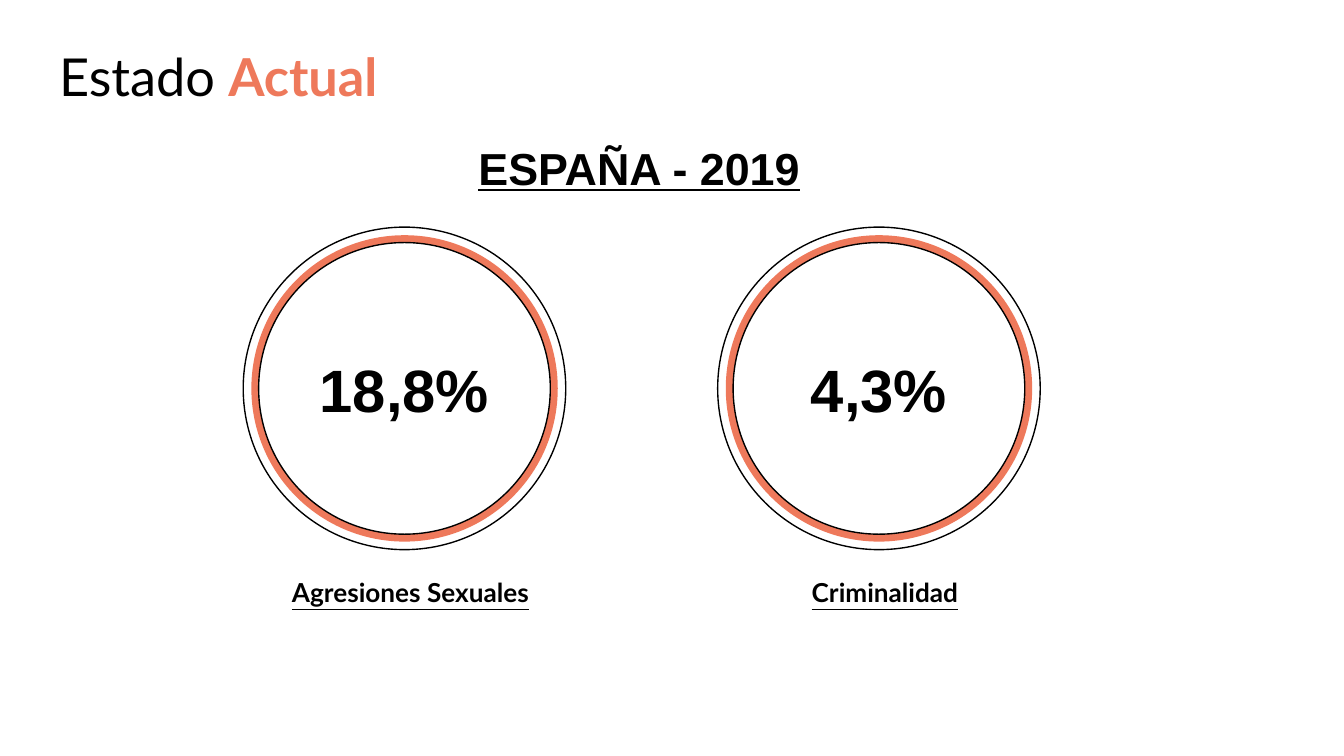
from pptx import Presentation
from pptx.dml.color import RGBColor
from pptx.enum.shapes import MSO_SHAPE as Shape
from pptx.enum.text import MSO_ANCHOR as Anchor, MSO_AUTO_SIZE as AutoSize, PP_ALIGN as Align
from pptx.util import Inches, Pt

BLACK = RGBColor(0x00, 0x00, 0x00)
WHITE = RGBColor(0xFF, 0xFF, 0xFF)
CORAL = RGBColor(0xEE, 0x79, 0x5B)

CENTER_Y = 2.89
INDICATORS = [
    (3.01, "18,8%", "Agresiones Sexuales"),
    (6.54, "4,3%", "Criminalidad"),
]


def format_font(run, name, size, color=BLACK, bold=True, underline=None):
    """Set the typeface, size, colour and emphasis of a run."""
    font = run.font
    font.name, font.size, font.bold, font.underline = name, Pt(size), bold, underline
    font.color.rgb = color


def set_frame(frame, anchor):
    """Give a text frame equal margins, wrapping and a vertical anchor."""
    frame.margin_left = frame.margin_right = Inches(0.1)
    frame.margin_top = frame.margin_bottom = Inches(0.1)
    frame.auto_size = AutoSize.NONE
    frame.word_wrap = True
    frame.vertical_anchor = anchor


def write_centered(holder, text, name, size, underline=None):
    """Write one bold line in the middle of a shape or text box."""
    frame = holder.text_frame
    set_frame(frame, Anchor.MIDDLE)
    frame.text = text
    paragraph = frame.paragraphs[0]
    paragraph.alignment = Align.CENTER
    format_font(paragraph.runs[0], name, size, underline=underline)


def add_figure(slide, kind, box, fill=None, line=None, width=0.75):
    """Add a preset shape without shadow, with optional fill and outline."""
    figure = slide.shapes.add_shape(kind, *map(Inches, box))
    figure.shadow.inherit = False
    if fill is None:
        figure.fill.background()
    else:
        figure.fill.solid()
        figure.fill.fore_color.rgb = fill
    if line is None:
        figure.line.fill.background()
    else:
        figure.line.color.rgb = line
        figure.line.width = Pt(width)
    return figure


def add_circle(slide, center_x, diameter, fill=None, line=None):
    """Add a circle centred on the row of indicators."""
    radius = diameter / 2
    box = (center_x - radius, CENTER_Y - radius, diameter, diameter)
    return add_figure(slide, Shape.OVAL, box, fill, line)


def add_indicator(slide, center_x, value, label):
    """Add concentric rings around a value, with a label below."""
    add_circle(slide, center_x, 2.28, fill=CORAL)
    add_circle(slide, center_x, 2.4, line=BLACK)
    dial = add_circle(slide, center_x, 2.17, fill=WHITE, line=BLACK)
    write_centered(dial, value, "Arial", 32)
    caption = slide.shapes.add_textbox(
        Inches(center_x - 1), Inches(4.23), Inches(2.09), Inches(0.35))
    write_centered(caption, label, "Lato", 14, underline=True)


def add_title(slide):
    """Fill the title placeholder with a two-tone heading."""
    title = slide.shapes.title
    title.left, title.top = Inches(0.34), Inches(0.23)
    title.width, title.height = Inches(9.32), Inches(0.51)
    set_frame(title.text_frame, Anchor.TOP)
    paragraph = title.text_frame.paragraphs[0]
    paragraph.alignment = Align.LEFT
    for text, color, bold in (("Estado ", BLACK, False), ("Actual", CORAL, True)):
        run = paragraph.add_run()
        run.text = text
        format_font(run, "Lato", 28, color, bold)


def main():
    """Build the 16:9 slide and save it."""
    deck = Presentation()
    deck.slide_width = Inches(10)
    deck.slide_height = Inches(10 * 9 / 16)
    slide = deck.slides.add_slide(deck.slide_layouts[5])
    add_title(slide)
    heading = add_figure(slide, Shape.RECTANGLE, (3.29, 1.02, 2.93, 0.45), WHITE, WHITE, 2)
    write_centered(heading, "ESPAÑA - 2019", "Arial", 24, underline=True)
    for center_x, value, label in INDICATORS:
        add_indicator(slide, center_x, value, label)
    deck.save("out.pptx")


if __name__ == "__main__":
    main()
